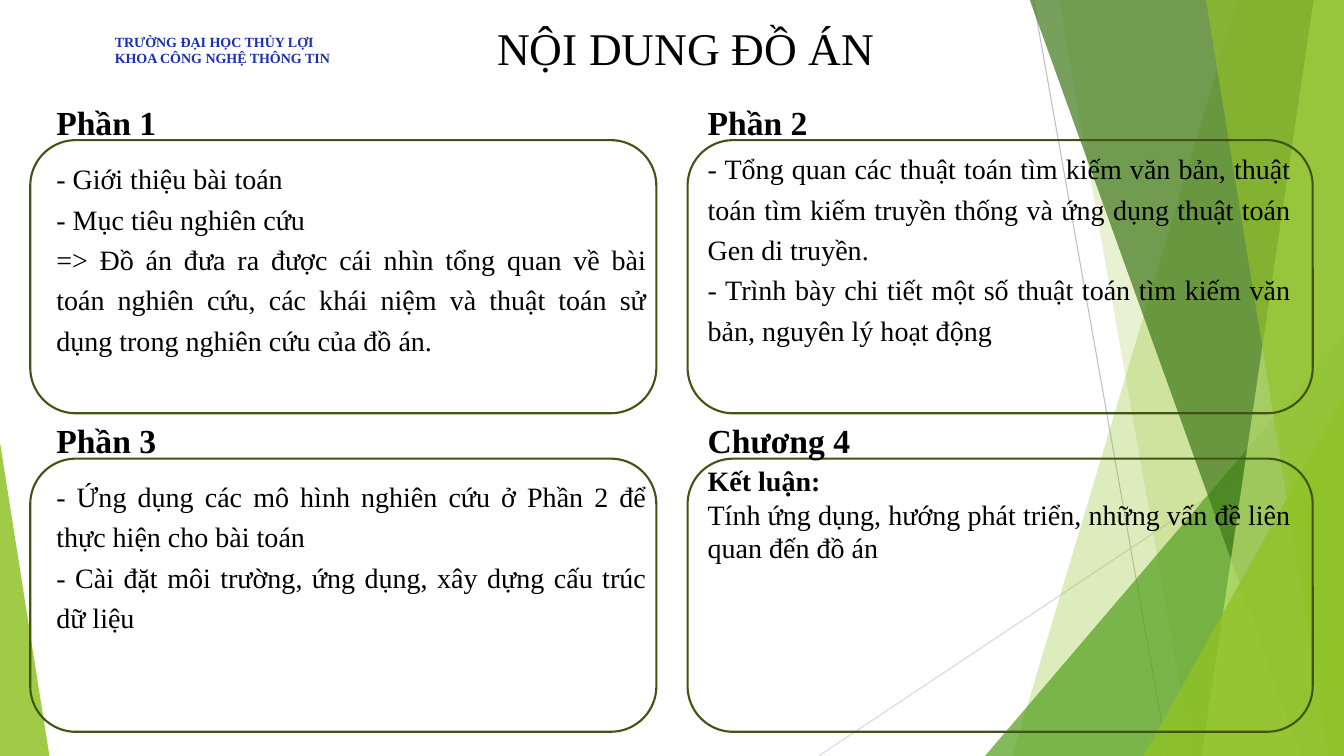
from lxml import etree
from pptx import Presentation
from pptx import util as u
from pptx.dml.color import RGBColor
from pptx.enum import shapes, text
from pptx.oxml.ns import qn

PX = 9144  # 100 px to the inch
WIDTH, HEIGHT = 1333, 750
FONT = "Times New Roman"
COLORS = {
    "black": "000000", "navy": "1930B0", "olive": "3F5511",
    "lime": "90C226", "green": "54A021", "forest": "3F7819", "pale": "C0E474",
    "gray": "BFBFBF", "light gray": "D9D9D9",
}

# Bands reach the right edge: top left x, bottom left x, colour, opacity %
BACK_BANDS = [(1228, 1004, "lime", 30), (1050, 1183, "lime", 20)]
FRONT_BANDS = [(1021, 1291, "forest", 70), (1303, 1192, "pale", 70),
               (1196, 1318, "lime", 65)]

# Heading, body lines, body offset from the frame top, line spacing
SECTIONS = [
    ("Phần 1", ["- Giới thiệu bài toán",
                "- Mục tiêu nghiên cứu",
                "=> Đồ án đưa ra được cái nhìn tổng quan về bài toán nghiên cứu, "
                "các khái niệm và thuật toán sử dụng trong nghiên cứu của đồ án."],
     10, 1.2),
    ("Phần 2", ["- Tổng quan các thuật toán tìm kiếm văn bản, thuật toán tìm kiếm "
                "truyền thống và ứng dụng thuật toán Gen di truyền.",
                "- Trình bày chi tiết một số thuật toán tìm kiếm văn bản, "
                "nguyên lý hoạt động"],
     0, 1.2),
    ("Phần 3", ["- Ứng dụng các mô hình nghiên cứu ở Phần 2 để thực hiện cho bài toán",
                "- Cài đặt môi trường, ứng dụng, xây dựng cấu trúc dữ liệu"],
     9, 1.2),
    ("Chương 4", ["Kết luận:",
                  "Tính ứng dụng, hướng phát triển, những vấn đề liên quan đến đồ án"],
     0, 1.0),
]
# Frame left, frame width, text left, heading width, body width
COLUMNS = [(30, 621, 46, 512, 605), (682, 620, 692, 611, 598)]
ROW_TOPS = [139, 455]


def color(name):
    return RGBColor.from_string(COLORS[name])


def scaled(*lengths):
    return [length * PX for length in lengths]


def paint(shape, fill, opacity):
    shape.shadow.inherit = False
    shape.line.fill.background()
    shape.fill.solid()
    shape.fill.fore_color.rgb = color(fill)
    tint = shape.fill._xPr.find(qn("a:solidFill"))[0]
    etree.SubElement(tint, qn("a:alpha")).set("val", str(opacity * 1000))


def add_band(page, top_left, bottom_left, fill, opacity):
    builder = page.shapes.build_freeform(top_left, -1, scale=PX)
    builder.add_line_segments([(WIDTH, -1), (WIDTH, HEIGHT), (bottom_left, HEIGHT)])
    paint(builder.convert_to_shape(), fill, opacity)


def add_corner(page, left, top, width, apex, fill, opacity):
    """Triangle standing on the bottom edge, apex 0 for left and 1 for right."""
    corner = page.shapes.add_shape(shapes.MSO_SHAPE.ISOSCELES_TRIANGLE,
                                   *scaled(left, top, width, HEIGHT - top))
    corner.adjustments[0] = apex
    paint(corner, fill, opacity)


def add_line(page, start, end, stroke):
    line = page.shapes.add_connector(shapes.MSO_CONNECTOR.STRAIGHT,
                                     *scaled(*start, *end))
    line.line.color.rgb = color(stroke)
    line.line.width = u.Pt(0.75)
    etree.SubElement(line._element.spPr, qn("a:effectLst"))


def add_backdrop(page):
    add_line(page, (1025, 0), (1158, HEIGHT), "gray")
    add_line(page, (WIDTH, 403), (812, HEIGHT), "light gray")
    for band in BACK_BANDS:
        add_band(page, *band)
    add_corner(page, 977, 333, 356, 1, "green", 72)
    for band in FRONT_BANDS:
        add_band(page, *band)
    add_corner(page, 1134, 393, 199, 1, "lime", 80)
    add_corner(page, 0, 439, 49, 0, "lime", 85)


def style(para, size, ink="black", bold=False, align=text.PP_ALIGN.LEFT, spacing=1.0):
    para.alignment = align
    para.line_spacing = spacing
    para.font.name = FONT
    para.font.size = u.Pt(size)
    para.font.bold = bold
    para.font.color.rgb = color(ink)


def add_text(page, place, lines, size, **looks):
    box = page.shapes.add_textbox(*scaled(*place))
    frame = box.text_frame
    frame.word_wrap = True
    frame.text = "\n".join(lines)
    for para in frame.paragraphs:
        style(para, size, **looks)
    return frame


def add_section(page, column, top, heading, lines, offset, spacing):
    left, width, text_left, heading_width, body_width = column
    panel = page.shapes.add_shape(shapes.MSO_SHAPE.ROUNDED_RECTANGLE,
                                  *scaled(left, top, width, 271))
    panel.shadow.inherit = False
    panel.fill.background()
    panel.line.color.rgb = color("olive")
    panel.line.width = u.Pt(1.5)
    add_text(page, (text_left, top - 43, heading_width, 50), [heading], 24, bold=True)
    return add_text(page, (text_left, top + offset, body_width, 209), lines, 20,
                    align=text.PP_ALIGN.JUSTIFY, spacing=spacing)


def set_title(page, words):
    title = page.shapes.title
    title.left, title.top, title.width, title.height = scaled(347, 15, 666, 65)
    frame = title.text_frame
    frame.text = words
    frame.auto_size = text.MSO_AUTO_SIZE.NONE
    frame.vertical_anchor = text.MSO_ANCHOR.MIDDLE
    style(frame.paragraphs[0], 32.4, align=text.PP_ALIGN.CENTER)


def main():
    deck = Presentation()
    deck.slide_width, deck.slide_height = scaled(WIDTH, HEIGHT)
    page = deck.slides.add_slide(deck.slide_layouts[5])
    add_backdrop(page)
    set_title(page, "NỘI DUNG ĐỒ ÁN")
    add_text(page, (104, 28, 255, 44),
             ["TRƯỜNG ĐẠI HỌC THỦY LỢI", "KHOA CÔNG NGHỆ THÔNG TIN"],
             10, ink="navy", bold=True)
    for index, section in enumerate(SECTIONS):
        row, column = divmod(index, 2)
        body = add_section(page, COLUMNS[column], ROW_TOPS[row], *section)
    body.paragraphs[0].font.bold = True  # "Kết luận:" leads the last section
    deck.save("out.pptx")


if __name__ == "__main__":
    main()
